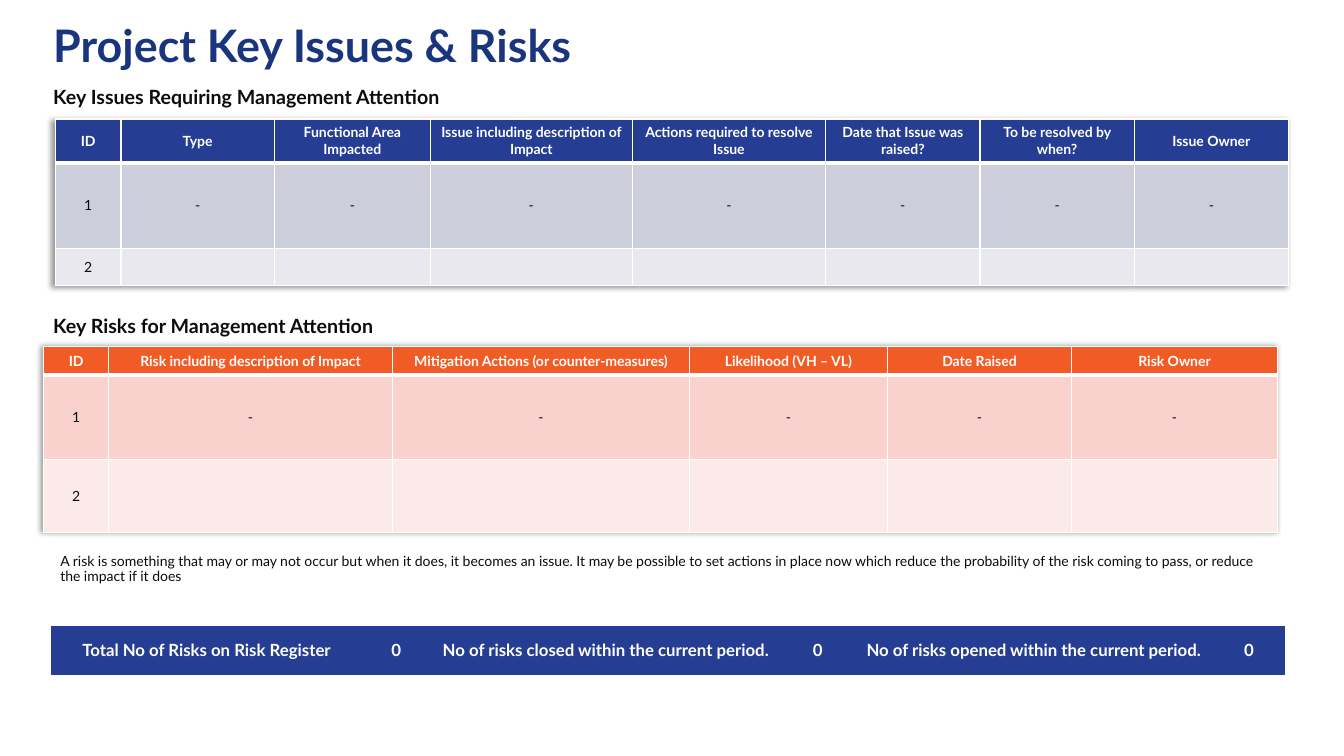
from lxml import etree
from pptx import Presentation
from pptx import util as u
from pptx.dml.color import RGBColor
from pptx.enum import text
from pptx.oxml import parse_xml
from pptx.oxml.ns import nsdecls, qn

PX = 9144
FONT = "Lato"
WHITE = RGBColor(0xFF, 0xFF, 0xFF)
INK = RGBColor(0x0C, 0x0C, 0x0C)
NAVY = RGBColor(0x19, 0x35, 0x7E)
BLUE = RGBColor(0x25, 0x3D, 0x93)
BLUE_MID = RGBColor(0xCD, 0xCE, 0xDC)
BLUE_PALE = RGBColor(0xE8, 0xE8, 0xEE)
ORANGE = RGBColor(0xF1, 0x5B, 0x25)
ORANGE_MID = RGBColor(0xFA, 0xD2, 0xCD)
ORANGE_PALE = RGBColor(0xFC, 0xEA, 0xE8)

ISSUE_HEADS = ["ID", "Type", "Functional Area Impacted", "Issue including description of Impact",
               "Actions required to resolve Issue", "Date that Issue was raised?",
               "To be resolved by when?", "Issue Owner"]
RISK_HEADS = ["ID", "Risk including description of Impact", "Mitigation Actions (or counter-measures)",
              "Likelihood (VH – VL)", "Date Raised", "Risk Owner"]
TOTALS = ["Total No of Risks on Risk Register", "0", "No of risks closed within the current period.", "0",
          "No of risks opened within the current period.", "0"]
NOTE = ("A risk is something that may or may not occur but when it does, it becomes an issue. "
        "It may be possible to set actions in place now which reduce the probability of the risk "
        "coming to pass, or reduce the impact if it does")


def px(*lengths):
    """Turn pixel lengths into EMU."""
    return [u.Emu(n * PX) for n in lengths]


def apply(obj, **values):
    """Set each named attribute on an object."""
    for name, value in values.items():
        setattr(obj, name, value)


def add_run(p, words, size, color, bold):
    """Add one formatted run to a paragraph."""
    r = p.add_run()
    r.text = words
    apply(r.font, name=FONT, size=u.Pt(size), bold=bold)
    r.font.color.rgb = color


def add_text(s, box, words, size, color=INK, bold=True, anchor=text.MSO_ANCHOR.TOP):
    """Add a wrapped text box with one paragraph."""
    tf = s.shapes.add_textbox(*px(*box)).text_frame
    apply(tf, word_wrap=True, vertical_anchor=anchor)
    p = tf.paragraphs[0]
    p.line_spacing = 0.9
    add_run(p, words, size, color, bold)


def set_borders(cell, color, widths):
    """Draw the left, right, top and bottom borders of a cell in points."""
    tcPr = cell._tc.get_or_add_tcPr()
    for i, (side, width) in enumerate(zip("LRTB", widths)):
        fill = f'<a:solidFill><a:srgbClr val="{color}"/></a:solidFill>' if width else "<a:noFill/>"
        tcPr.insert(i, parse_xml(f'<a:ln{side} {nsdecls("a")} w="{int(width * 12700)}">{fill}</a:ln{side}>'))


def add_shadow(table):
    """Give a table a soft shadow to its left."""
    table._tbl.tblPr.insert(0, parse_xml(
        f'<a:effectLst {nsdecls("a")}><a:outerShdw blurRad="50800" dist="38100" dir="10800000">'
        '<a:srgbClr val="000000"><a:alpha val="40000"/></a:srgbClr></a:outerShdw></a:effectLst>'))


def fill_cell(cell, words, fill, size, color, bold, margin):
    """Fill a cell and centre its text."""
    cell.fill.solid()
    cell.fill.fore_color.rgb = fill
    side, = px(margin)
    apply(cell, vertical_anchor=text.MSO_ANCHOR.MIDDLE, margin_left=side, margin_right=side)
    p = cell.text_frame.paragraphs[0]
    p.alignment = text.PP_ALIGN.CENTER
    if words:
        add_run(p, words, size, color, bold)
    else:
        etree.SubElement(p._p, qn("a:endParaRPr")).set("sz", str(size * 100))


def add_grid(s, left, top, cols, heights, rows):
    """Add a plain table with set columns and rows."""
    box = px(left, top, sum(cols), sum(heights))
    table = s.shapes.add_table(len(rows), len(cols), *box).table
    apply(table, first_row=False, horz_banding=False)
    for col, width in zip(table.columns, px(*cols)):
        col.width = width
    for row, height in zip(table.rows, px(*heights)):
        row.height = height
    return table


def add_register(s, left, top, cols, heights, heads, fills):
    """Add a register with a header row and two numbered rows."""
    blanks = len(heads) - 1
    rows = [heads, ["1"] + ["-"] * blanks, ["2"] + [""] * blanks]
    table = add_grid(s, left, top, cols, heights, rows)
    add_shadow(table)
    for i, (words, fill) in enumerate(zip(rows, fills)):
        head = i == 0
        for cell, word in zip(table.rows[i].cells, words):
            fill_cell(cell, word, fill, 10, WHITE if head else INK, head, 7)
            set_borders(cell, WHITE, (1, 1, 3 if i == 1 else 1, 3 if head else 1))


def add_totals(s, left, top, cols, height):
    """Add the one-row band of risk totals."""
    table = add_grid(s, left, top, cols, [height], [TOTALS])
    last = len(cols) - 1
    for i, (cell, word) in enumerate(zip(table.rows[0].cells, TOTALS)):
        fill_cell(cell, word, BLUE, 12, WHITE, True, 10)
        set_borders(cell, BLUE, (0.5 * (i == 0), 0.5 * (i == last), 0.5, 0.5))


def main():
    """Build and save the issues and risks slide."""
    prs = Presentation()
    prs.slide_width, prs.slide_height = px(1333, 750)
    s = prs.slides.add_slide(prs.slide_layouts[6])
    add_text(s, (43, 18, 1203, 59), "Project Key Issues & Risks", 32, NAVY, anchor=text.MSO_ANCHOR.MIDDLE)
    add_text(s, (43, 82, 440, 36), "Key Issues Requiring Management Attention", 14)
    add_text(s, (43, 309, 463, 31), "Key Risks for Management Attention", 14)
    add_register(s, 55, 118, [65, 152, 155, 200, 192, 153, 153, 153], [43, 85, 37],
                 ISSUE_HEADS, [BLUE, BLUE_MID, BLUE_PALE])
    add_register(s, 43, 344, [65, 281, 295, 196, 183, 204], [28, 84, 72],
                 RISK_HEADS, [ORANGE, ORANGE_MID, ORANGE_PALE])
    add_text(s, (50, 545, 1224, 40), NOTE, 10, bold=False)
    add_totals(s, 51, 621, [308, 68, 348, 72, 357, 70], 48)
    prs.save("out.pptx")


if __name__ == "__main__":
    main()
